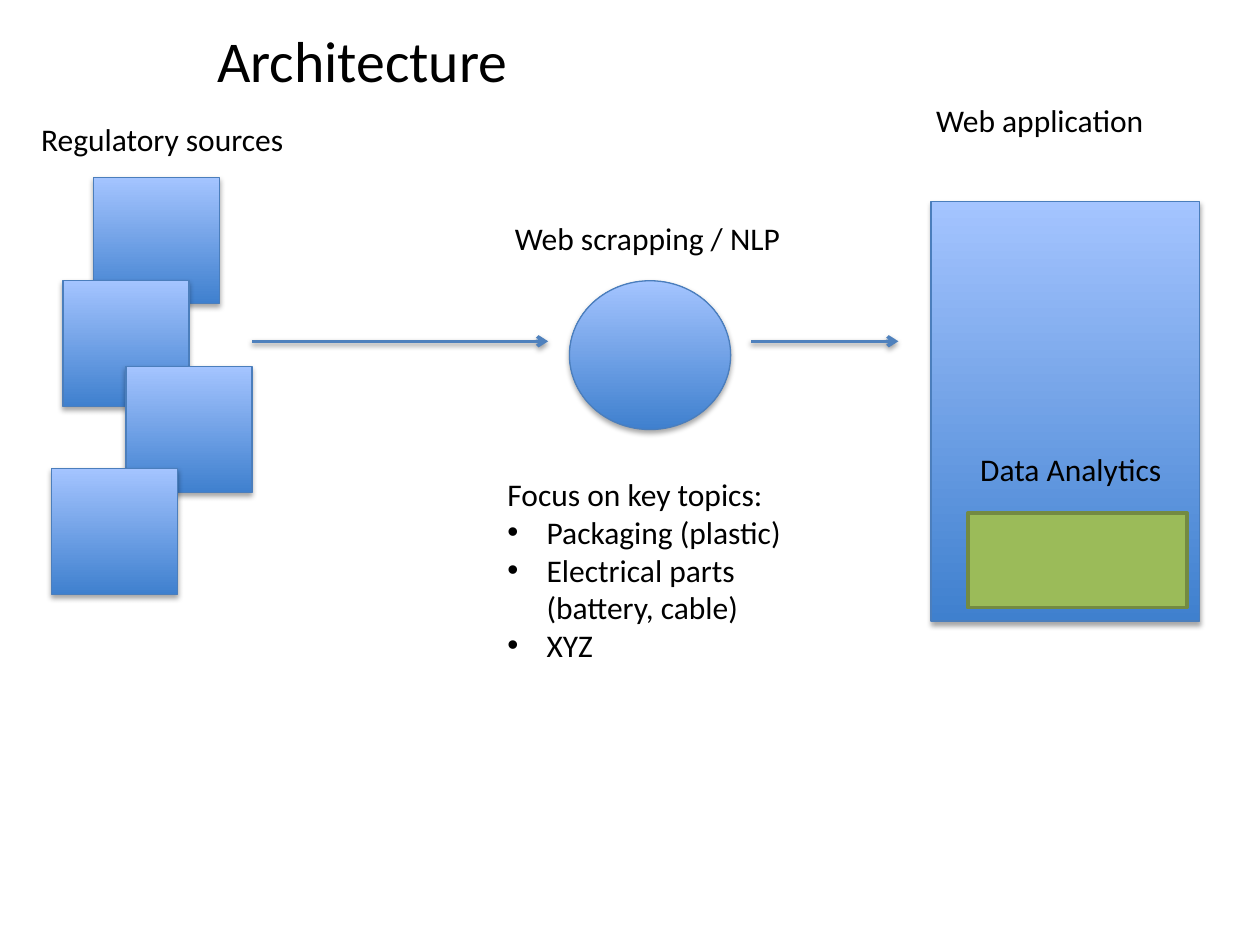
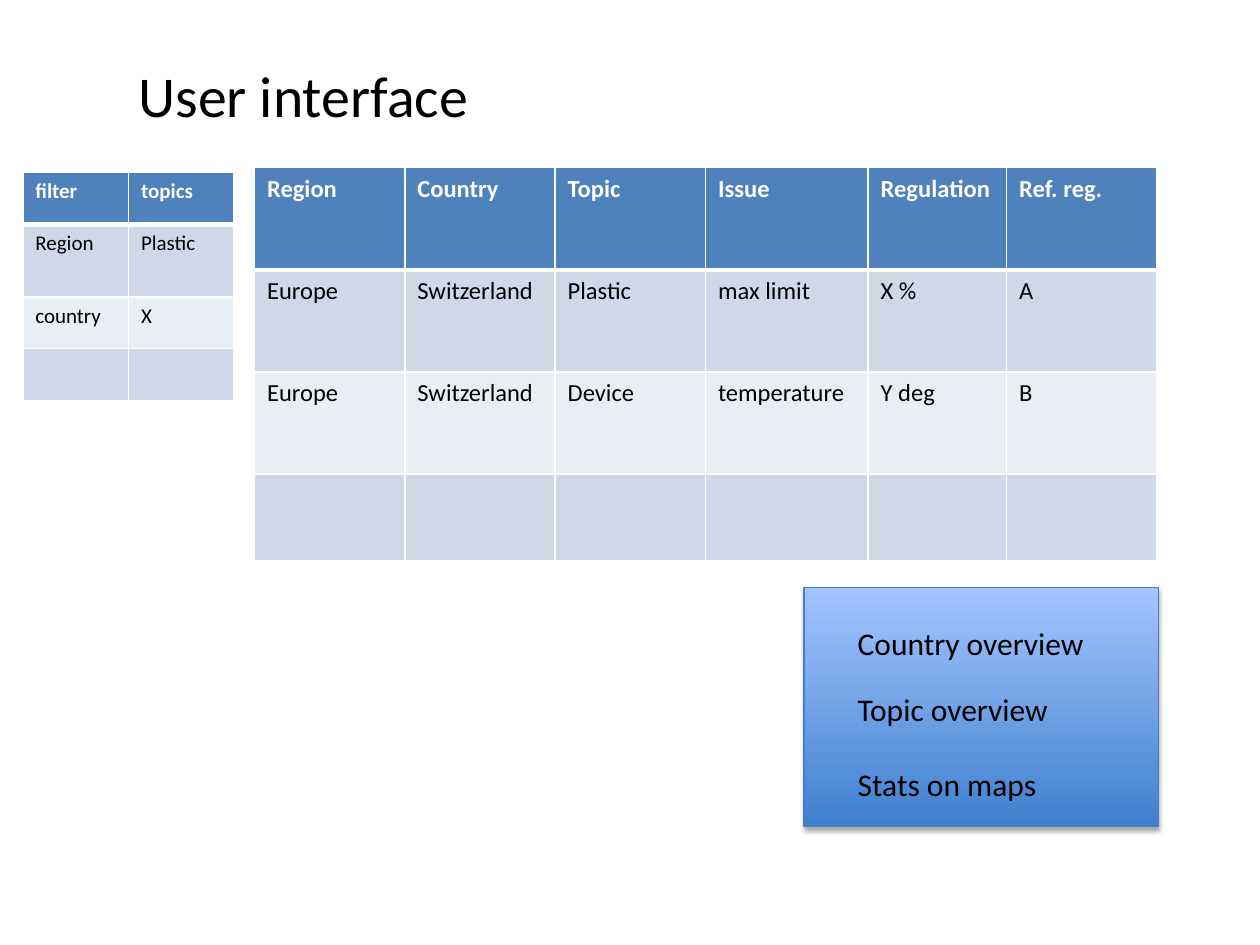
import lxml.etree
import pptx
import pptx.dml.color
import pptx.enum.shapes
import pptx.enum.text
import pptx.oxml
import pptx.oxml.ns
import pptx.util

Cm = pptx.util.Cm
Pt = pptx.util.Pt
RGBColor = pptx.dml.color.RGBColor
MSO_SHAPE = pptx.enum.shapes.MSO_SHAPE
qn = pptx.oxml.ns.qn

FONT = "Calibri"
BLACK = RGBColor(0x00, 0x00, 0x00)
WHITE = RGBColor(0xFF, 0xFF, 0xFF)
BLUE = RGBColor(0x4F, 0x81, 0xBD)
BLUE_OUTLINE = RGBColor(0x4B, 0x7E, 0xBC)
GRADIENT_BOTTOM = RGBColor(0x3F, 0x80, 0xCE)
GRADIENT_TOP = RGBColor(0xA4, 0xC4, 0xFF)
GREEN = RGBColor(0x9B, 0xBB, 0x59)
GREEN_OUTLINE = RGBColor(0x73, 0x8A, 0x42)
BAND_DARK = RGBColor(0xD0, 0xD8, 0xE8)
BAND_LIGHT = RGBColor(0xE9, 0xED, 0xF4)

TITLE_SIZE = (9.53, 1.42)
LABEL_HEIGHT = 1.02
LABEL_WIDTH = 5.99
SOURCE_SIDE = 2.54
ARROW_TOP = 6.88
BULLET_INDENT = 0.79


def format_text(text_frame, size, color=BLACK, bold=False):
    """Give every run of a text frame the same font."""
    for paragraph in text_frame.paragraphs:
        for run in paragraph.runs:
            run.font.name = FONT
            run.font.size = Pt(size)
            run.font.bold = bold
            run.font.color.rgb = color


def add_titled_slide(presentation, title, left, top):
    """Add a title-only slide and place its title."""
    slide = presentation.slides.add_slide(presentation.slide_layouts[5])
    shape = slide.shapes.title
    shape.left, shape.top = Cm(left), Cm(top)
    shape.width, shape.height = map(Cm, TITLE_SIZE)
    text_frame = shape.text_frame
    text_frame.text = title
    text_frame.auto_size = pptx.enum.text.MSO_AUTO_SIZE.NONE
    text_frame.vertical_anchor = pptx.enum.text.MSO_ANCHOR.MIDDLE
    text_frame.paragraphs[0].alignment = pptx.enum.text.PP_ALIGN.CENTER
    format_text(text_frame, 33)
    return slide


def add_shadow(shape_properties, opacity, distance):
    """Put a soft downward shadow on a shape or connector."""
    effects = shape_properties.find(qn("a:effectLst"))
    if effects is None:
        effects = lxml.etree.SubElement(shape_properties, qn("a:effectLst"))
    shadow = lxml.etree.SubElement(
        effects, qn("a:outerShdw"), blurRad=str(Pt(3.1)), dist=str(Pt(distance)),
        dir="5400000", rotWithShape="0")
    color = lxml.etree.SubElement(shadow, qn("a:srgbClr"), val=str(BLACK))
    lxml.etree.SubElement(color, qn("a:alpha"), val=str(opacity * 1000))


def add_shape(slide, kind, left, top, width, height, outline, line_width):
    """Add an outlined preset shape without a shadow."""
    shape = slide.shapes.add_shape(kind, Cm(left), Cm(top), Cm(width), Cm(height))
    shape.shadow.inherit = False
    shape.line.color.rgb = outline
    shape.line.width = Pt(line_width)
    return shape


def add_gradient_shape(slide, kind, left, top, width, height):
    """Add a blue gradient shape with a shadow."""
    shape = add_shape(slide, kind, left, top, width, height, BLUE_OUTLINE, 0.75)
    shape.fill.gradient()
    shape.fill.gradient_angle = 90
    for stop, color in zip(shape.fill.gradient_stops, (GRADIENT_BOTTOM, GRADIENT_TOP)):
        stop.color.rgb = color
    add_shadow(shape._element.spPr, 35, 1.8)


def add_arrow(slide, start, end):
    """Add a horizontal arrow on the flow line."""
    connector = slide.shapes.add_connector(
        pptx.enum.shapes.MSO_CONNECTOR.STRAIGHT,
        Cm(start), Cm(ARROW_TOP), Cm(end), Cm(ARROW_TOP))
    connector.line.color.rgb = BLUE
    connector.line.width = Pt(2)
    lxml.etree.SubElement(connector.line._get_or_add_ln(), qn("a:tailEnd"), type="arrow")
    add_shadow(connector._element.spPr, 38, 1.6)


def add_label(slide, text, left, top, width=LABEL_WIDTH, height=LABEL_HEIGHT):
    """Add a wrapped text box that grows with its text."""
    box = slide.shapes.add_textbox(Cm(left), Cm(top), Cm(width), Cm(height))
    text_frame = box.text_frame
    text_frame.word_wrap = True
    text_frame.auto_size = pptx.enum.text.MSO_AUTO_SIZE.SHAPE_TO_FIT_TEXT
    text_frame.text = text
    format_text(text_frame, 18)
    return text_frame


def add_bullet(paragraph):
    """Turn a paragraph into a bulleted one with a hanging indent."""
    properties = paragraph._p.get_or_add_pPr()
    properties.set("marL", str(Cm(BULLET_INDENT)))
    properties.set("indent", str(-Cm(BULLET_INDENT)))
    lxml.etree.SubElement(properties, qn("a:buFont"), typeface="Arial")
    lxml.etree.SubElement(properties, qn("a:buChar"), char="\u2022")


def add_cell_borders(cell, top, bottom):
    """Draw white borders around a cell."""
    properties = cell._tc.get_or_add_tcPr()
    for side, width in (("L", 1), ("R", 1), ("T", top), ("B", bottom)):
        line = lxml.etree.SubElement(properties, qn("a:ln" + side), w=str(Pt(width)))
        fill = lxml.etree.SubElement(line, qn("a:solidFill"))
        lxml.etree.SubElement(fill, qn("a:srgbClr"), val=str(WHITE))


def add_banded_table(slide, left, top, widths, heights, rows, size):
    """Add a table with a blue header and banded body rows."""
    table = slide.shapes.add_table(
        len(heights), len(widths), Cm(left), Cm(top),
        Cm(sum(widths)), Cm(sum(heights))).table
    for column, width in zip(table.columns, widths):
        column.width = Cm(width)
    for row, height in zip(table.rows, heights):
        row.height = Cm(height)
    for row_index, row in enumerate(table.rows):
        header = row_index == 0
        fill = BLUE if header else BAND_DARK if row_index % 2 else BAND_LIGHT
        for column_index, cell in enumerate(row.cells):
            add_cell_borders(cell, 3 if row_index == 1 else 1, 3 if header else 1)
            cell.fill.solid()
            cell.fill.fore_color.rgb = fill
            if row_index < len(rows):
                cell.text_frame.text = rows[row_index][column_index]
                format_text(cell.text_frame, size, WHITE if header else BLACK, header)


def build_architecture(presentation):
    """Build the flow from sources to the web application."""
    slide = add_titled_slide(presentation, "Architecture", 2.54, 0.48)
    for left, top in ((1.88, 3.58), (1.27, 5.66), (2.54, 7.39), (1.04, 9.45)):
        add_gradient_shape(slide, MSO_SHAPE.RECTANGLE, left, top, SOURCE_SIDE, SOURCE_SIDE)
    add_label(slide, "Regulatory sources", 0.58, 2.29)
    add_arrow(slide, 5.08, 11.05)
    add_gradient_shape(slide, MSO_SHAPE.OVAL, 11.48, 5.66, 3.25, 3)
    add_label(slide, "Web scrapping / NLP", 10.13, 4.29)
    topics = ("Focus on key topics:", "Packaging (plastic)",
              "Electrical parts (battery, cable)", "XYZ")
    text_frame = add_label(slide, "\n".join(topics), 9.98, 9.45, 6.96, 4.88)
    for paragraph in text_frame.paragraphs[1:]:
        add_bullet(paragraph)
    add_arrow(slide, 15.14, 18.11)
    add_gradient_shape(slide, MSO_SHAPE.ACTION_BUTTON_CUSTOM, 18.77, 4.06, 5.41, 8.46)
    add_label(slide, "Web application", 18.62, 1.91)
    analytics = add_shape(slide, MSO_SHAPE.ACTION_BUTTON_CUSTOM,
                          19.51, 10.34, 4.42, 1.91, GREEN_OUTLINE, 2)
    analytics.fill.solid()
    analytics.fill.fore_color.rgb = GREEN
    add_label(slide, "Data Analytics", 19.51, 8.94, 4.42)


def build_user_interface(presentation):
    """Build the filter table, the result table and the overview panel."""
    slide = add_titled_slide(presentation, "User interface", 1.35, 1.19)
    add_gradient_shape(slide, MSO_SHAPE.RECTANGLE, 16.21, 11.84, 7.14, 4.83)
    results = (
        ("Region", "Country", "Topic", "Issue", "Regulation", "Ref. reg."),
        ("Europe", "Switzerland", "Plastic", "max limit", "X %", "A"),
        ("Europe", "Switzerland", "Device", "temperature", "Y deg", "B"),
    )
    add_banded_table(slide, 5.13, 3.38, (3.03, 3.03, 3.03, 3.28, 2.79, 3.03),
                     (2.06, 2.06, 2.06, 1.75), results, 14)
    filters = (("filter", "topics"), ("Region", "Plastic"), ("country", "X"))
    add_banded_table(slide, 0.46, 3.48, (2.13, 2.13),
                     (1.04, 1.47, 1.04, 1.04), filters, 12)
    for text, top in (("Country overview", 12.45), ("Topic overview", 13.79),
                      ("Stats on maps", 15.29)):
        add_label(slide, text, 17.04, top, 5.44)


def main():
    """Build and save the presentation."""
    presentation = pptx.Presentation()
    presentation.slide_width = Cm(25.4)
    presentation.slide_height = Cm(19.05)
    build_architecture(presentation)
    build_user_interface(presentation)
    presentation.save("out.pptx")


main()
